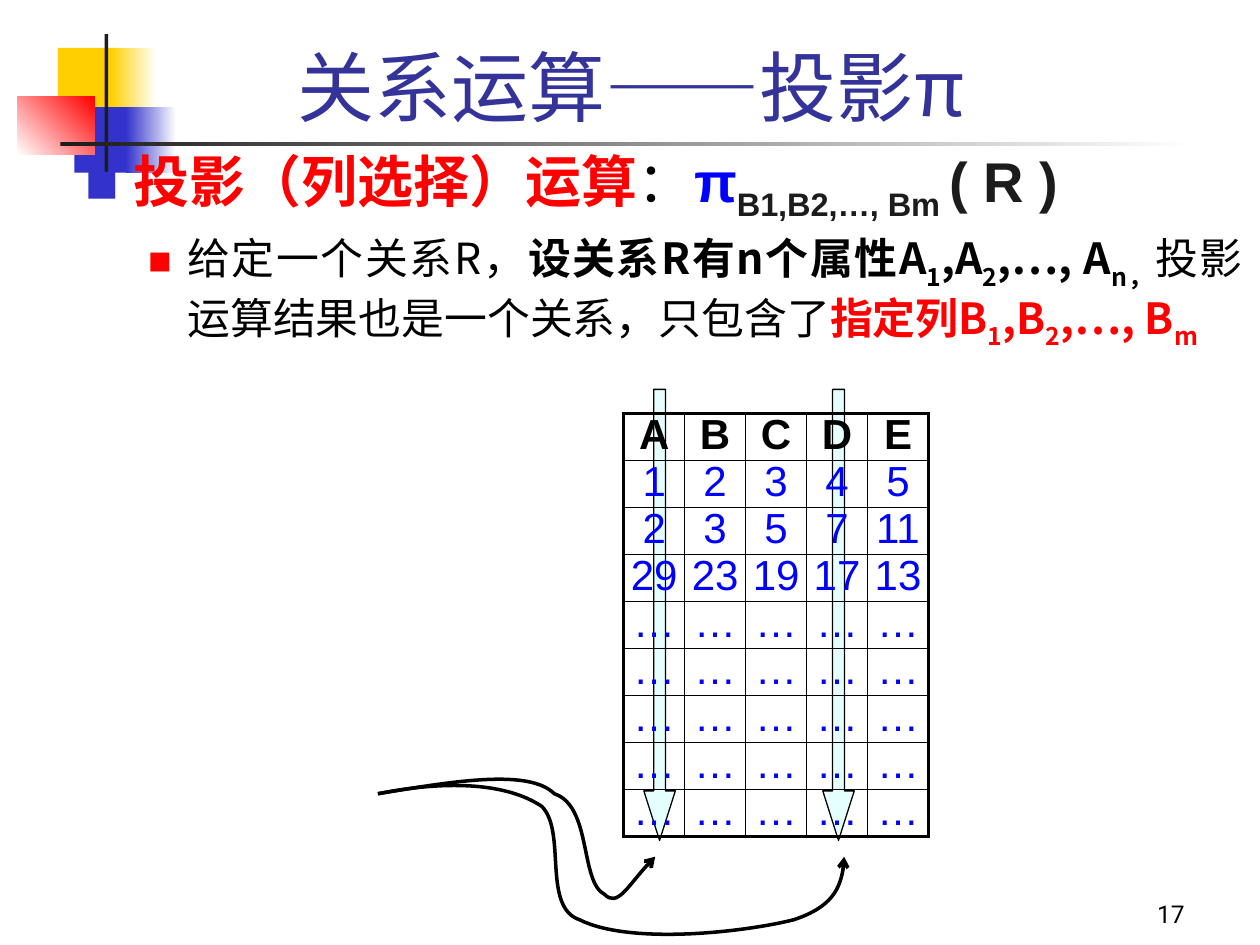
from lxml import etree
from pptx import Presentation
from pptx.dml.color import RGBColor
from pptx.enum.shapes import MSO_SHAPE
from pptx.enum.text import MSO_ANCHOR, PP_ALIGN
from pptx.oxml.ns import qn
from pptx.util import Inches, Pt

RECTANGLE, DOWN_ARROW = MSO_SHAPE.RECTANGLE, MSO_SHAPE.DOWN_ARROW
TOP, MIDDLE, BOTTOM = MSO_ANCHOR.TOP, MSO_ANCHOR.MIDDLE, MSO_ANCHOR.BOTTOM
CENTER, RIGHT, JUSTIFY = PP_ALIGN.CENTER, PP_ALIGN.RIGHT, PP_ALIGN.JUSTIFY

BLACK = RGBColor(0x00, 0x00, 0x00)
WHITE = RGBColor(0xFF, 0xFF, 0xFF)
CHARCOAL = RGBColor(0x1C, 0x1C, 0x1C)
YELLOW = RGBColor(0xFF, 0xCF, 0x01)
INDIGO = RGBColor(0x33, 0x33, 0xCC)
TITLE_BLUE = RGBColor(0x33, 0x33, 0x99)
RED = RGBColor(0xFF, 0x00, 0x00)
BLUE = RGBColor(0x00, 0x00, 0xFF)
PALE_CYAN = RGBColor(0xCC, 0xFF, 0xFF)

CJK, LATIN, NUMBER = "Noto Sans CJK SC", "Arial", "Roboto"
COLUMNS, ROWS = 100, 75


class SlideBuilder:
    def __init__(self, deck):
        self.slide = deck.slides.add_slide(deck.slide_layouts[6])
        self.column = deck.slide_width / COLUMNS
        self.row = deck.slide_height / ROWS

    def place(self, left, top, width, height):
        return (round(left * self.column), round(top * self.row),
                round(width * self.column), round(height * self.row))

    def child(self, parent, tag, **attributes):
        return etree.SubElement(parent, qn(tag), attributes)

    def solid_element(self, parent, color):
        self.child(self.child(parent, "a:solidFill"), "a:srgbClr", val=str(color))

    def style(self, run, size, color, bold=False, font=CJK, baseline=0):
        run.font.size, run.font.bold, run.font.name = Pt(size), bold, font
        run.font.color.rgb = color
        properties = run._r.get_or_add_rPr()
        self.child(properties, "a:ea", typeface=CJK)
        if baseline:
            properties.set("baseline", str(baseline * 1000))

    def block(self, area, color, fade_to=None, angle=0):
        block = self.slide.shapes.add_shape(RECTANGLE, *self.place(*area))
        block.shadow.inherit = False
        block.line.fill.background()
        if fade_to is None:
            block.fill.solid()
            block.fill.fore_color.rgb = color
        else:
            block.fill.gradient()
            block.fill.gradient_angle = angle
            for stop, shade in zip(block.fill.gradient_stops, (color, fade_to)):
                stop.color.rgb = shade

    def text_box(self, area, anchor):
        frame = self.slide.shapes.add_textbox(*self.place(*area)).text_frame
        frame.word_wrap = True
        frame.vertical_anchor = anchor
        return frame

    def label(self, area, text, size, color, align, anchor, font=CJK):
        frame = self.text_box(area, anchor)
        frame.text = text
        frame.paragraphs[0].alignment = align
        self.style(frame.paragraphs[0].runs[0], size, color, font=font)

    def bullet(self, paragraph, level, size, indent, hanging, mark, mark_size, pieces):
        properties = paragraph._p.get_or_add_pPr()
        properties.set("marL", str(Inches(indent)))
        properties.set("indent", str(-Inches(hanging)))
        self.child(self.child(properties, "a:buClr"), "a:srgbClr", val=str(mark))
        self.child(properties, "a:buSzPct", val=str(mark_size * 1000))
        self.child(properties, "a:buFont", typeface=CJK)
        self.child(properties, "a:buChar", char="■")
        paragraph.level = level
        paragraph.alignment = JUSTIFY
        for text, *look in pieces:
            run = paragraph.add_run()
            run.text = text
            self.style(run, size, *look)

    def column_arrow(self, left, top, width, height):
        arrow = self.slide.shapes.add_shape(
            DOWN_ARROW, *self.place(left, top, width, height))
        arrow.shadow.inherit = False
        arrow.adjustments[0], arrow.adjustments[1] = 0.375, 1.573
        arrow.fill.solid()
        arrow.fill.fore_color.rgb = PALE_CYAN
        tint = arrow._element.spPr.find(qn("a:solidFill"))[0]
        self.child(tint, "a:alpha", val="50000")
        arrow.line.color.rgb = BLACK
        arrow.line.width = Pt(0.75)

    def curve(self, start, *controls):
        builder = self.slide.shapes.build_freeform(*start, scale=self.column)
        builder.add_line_segments(controls, close=False)
        curve = builder.convert_to_shape()
        curve.shadow.inherit = False
        curve.fill.background()
        curve.line.color.rgb = BLACK
        curve.line.width = Pt(2)
        self.child(curve.line._get_or_add_ln(), "a:tailEnd", type="arrow")
        outline = next(curve._element.iter(qn("a:path")))
        steps = outline.findall(qn("a:lnTo"))
        for first in range(0, len(steps), 3):
            bend = self.child(outline, "a:cubicBezTo")
            for step in steps[first:first + 3]:
                bend.append(step[0])
                outline.remove(step)

    def border(self, cell, side, width, position):
        line = etree.Element(qn(f"a:ln{side}"), {"w": str(Pt(width))})
        self.solid_element(line, BLACK)
        cell._tc.get_or_add_tcPr().insert(position, line)

    def table(self, area, records):
        last_row, last_column = len(records) - 1, len(records[0]) - 1
        left, top, width, height = self.place(*area)
        table = self.slide.shapes.add_table(
            last_row + 1, last_column + 1, left, top, width, height).table
        table.first_row = table.horz_banding = False
        for r, record in enumerate(records):
            for c, value in enumerate(record):
                cell = table.cell(r, c)
                cell.text = value
                cell.fill.background()
                cell.vertical_anchor = MIDDLE
                cell.margin_left = cell.margin_right = 0
                cell.margin_top = cell.margin_bottom = 0
                paragraph = cell.text_frame.paragraphs[0]
                paragraph.alignment = CENTER
                paragraph.line_spacing = 0.9
                header = r == 0
                self.style(paragraph.runs[0], 24, BLACK if header else BLUE, header, LATIN)
                edges = {"L": c == 0, "R": c == last_column, "T": header, "B": r == last_row}
                for position, (side, outer) in enumerate(edges.items()):
                    self.border(cell, side, 2.25 if outer else 1, position)


def main():
    deck = Presentation()
    deck.slide_width, deck.slide_height = Inches(10), Inches(7.5)
    page = SlideBuilder(deck)

    page.block((4.6, 3.8, 4.8, 5.2), YELLOW)
    page.block((8.8, 3.8, 3.6, 5.2), YELLOW, WHITE)
    page.block((5.9, 8.5, 4.6, 5.2), INDIGO)
    page.block((10, 8.5, 4, 5.2), INDIGO, WHITE)
    page.block((1.4, 7.7, 6.1, 4.6), WHITE, RED, 45)
    page.block((8.3, 2.7, 0.3, 11.5), CHARCOAL)
    page.block((4.8, 11.3, 90, 0.3), CHARCOAL, WHITE)

    page.label((7.5, 2.5, 85.2, 8.6), "关系运算——投影π", 44, TITLE_BLUE, CENTER, MIDDLE)

    body = page.text_box((5.8, 11.1, 93.8, 29.2), TOP)
    page.bullet(body.paragraphs[0], 0, 32, 0.38, 0.38, INDIGO, 60, [
        ("投影（列选择）运算", RED, True),
        ("：", BLACK),
        ("π", BLUE, True, LATIN),
        ("B1,B2,…, Bm ", CHARCOAL, True, LATIN, -25),
        ("( R )", CHARCOAL, True, LATIN),
    ])
    definition = body.add_paragraph()
    definition.space_before = Pt(5)
    page.bullet(definition, 1, 24.5, 0.81, 0.31, RED, 55, [
        ("给定一个关系R，", BLACK),
        ("设关系R有n个属性A", BLACK, True),
        ("1", BLACK, True, CJK, -30),
        (",A", BLACK, True),
        ("2", BLACK, True, CJK, -30),
        (",…, A", BLACK, True),
        ("n，", BLACK, True, CJK, -30),
        ("投影运算结果也是一个关系，只包含了", BLACK),
        ("指定列B", RED, True),
        ("1", RED, True, CJK, -25),
        (",B", RED, True),
        ("2", RED, True, CJK, -25),
        (",…, B", RED, True),
        ("m", RED, True, CJK, -25),
    ])

    page.label((74.2, 69.2, 20.8, 5), "17", 14, BLACK, RIGHT, BOTTOM, NUMBER)

    for left in (51.1, 65.3):
        page.column_arrow(left, 30.9, 2.5, 35.8)
    page.curve((30.3, 62.6),
               (35.9, 61.9), (41.5, 61.2), (44.5, 62.6),
               (47.4, 64), (46.5, 70.1), (47.8, 70.9),
               (49, 71.8), (50.5, 69.7), (52, 67.6))
    page.curve((30.3, 62.6),
               (35.2, 62.5), (40.1, 62.5), (42.8, 64.3),
               (45.4, 66.1), (42.8, 71.9), (46.1, 73.4),
               (49.5, 75), (59.3, 74.4), (62.8, 73.4),
               (66.3, 72.5), (66.6, 70), (67, 67.6))

    numbers = ["ABCDE", "12345", ("2", "3", "5", "7", "11"), ("29", "23", "19", "17", "13")]
    page.table((49.5, 32.8, 24.2, 33.6), numbers + ["…" * 5] * 5)

    deck.save("out.pptx")


if __name__ == "__main__":
    main()
